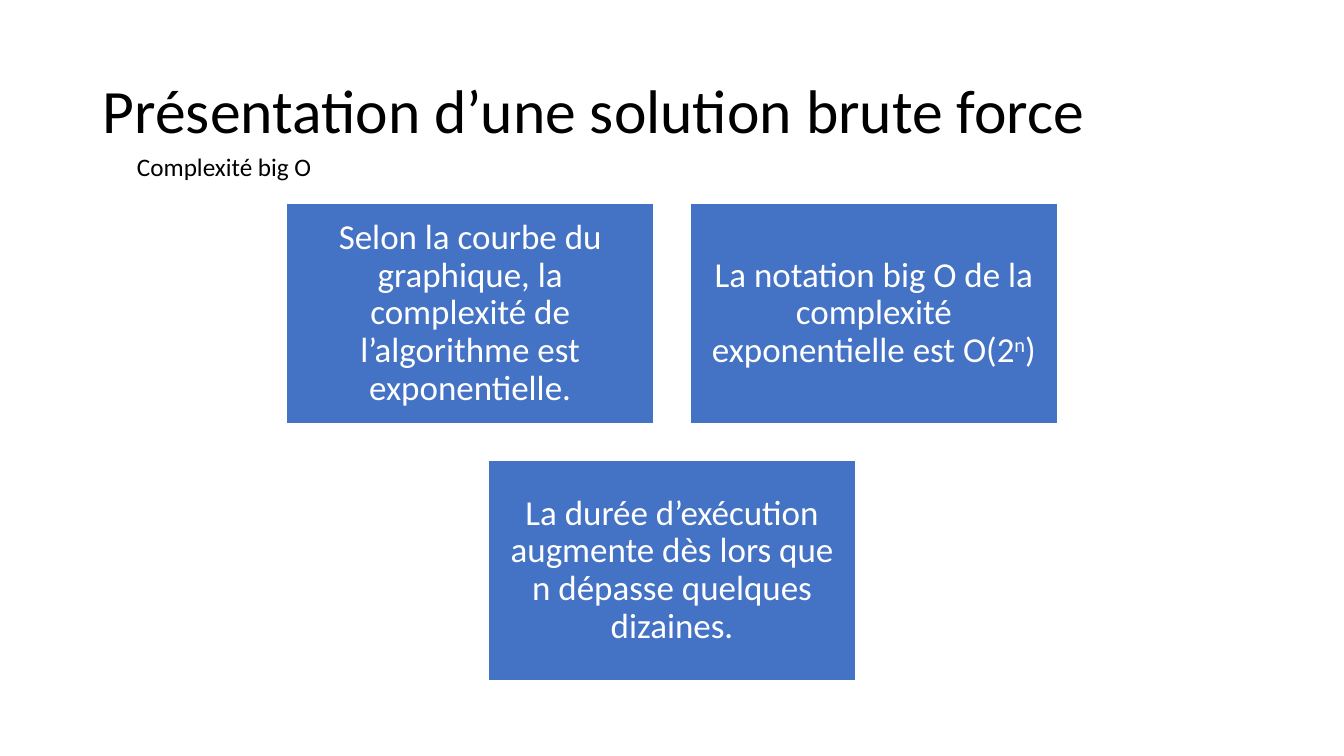
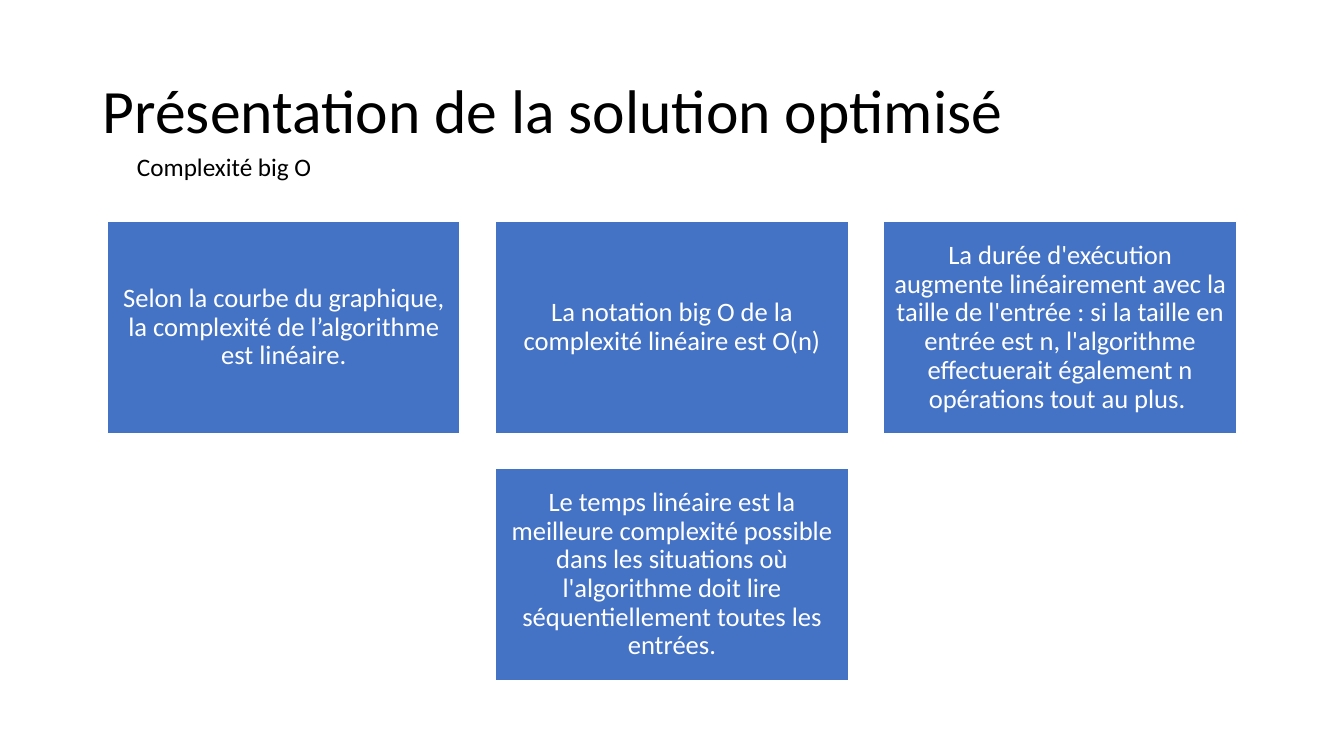
import dataclasses

import pptx
import pptx.dml.color
import pptx.enum.shapes
import pptx.enum.text
import pptx.util

Inches = pptx.util.Inches
Pt = pptx.util.Pt
Color = pptx.dml.color.RGBColor
Align = pptx.enum.text.PP_ALIGN
Anchor = pptx.enum.text.MSO_ANCHOR
Fit = pptx.enum.text.MSO_AUTO_SIZE


# Shared colours, type sizes and measures
@dataclasses.dataclass(frozen=True)
class Theme:
    font: str = "Calibri"
    ink: Color = Color(0x00, 0x00, 0x00)
    paper: Color = Color(0xFF, 0xFF, 0xFF)
    blue: Color = Color(0x44, 0x72, 0xC4)
    title: int = 44
    label: int = 18
    wide: float = 13.33
    high: float = 7.5
    base: float = 6.75    # bottom edge of the lowest row of boxes
    ratio: float = 0.6    # box height to box width
    gap: float = 0.1      # gap to box width
    lead: float = 0.9


THEME = Theme()


# Text
def add_run(para, text, size, color, power=False):
    run = para.add_run()
    run.text = text
    run.font.name = THEME.font
    run.font.size = Pt(size)
    run.font.color.rgb = color
    if power:
        run._r.get_or_add_rPr().set("baseline", "30000")


def add_title(slide, text):
    title = slide.shapes.title
    title.left, title.top = Inches(0.92), Inches(0.4)
    title.width, title.height = Inches(11.5), Inches(1.45)
    frame = title.text_frame
    frame.auto_size = Fit.NONE
    frame.vertical_anchor = Anchor.MIDDLE
    para = frame.paragraphs[0]
    para.alignment = Align.LEFT
    para.line_spacing = THEME.lead
    add_run(para, text, THEME.title, THEME.ink)


def add_label(slide, text):
    box = slide.shapes.add_textbox(
        Inches(1.26), Inches(1.45), Inches(1.95), Inches(0.4))
    frame = box.text_frame
    frame.word_wrap = False
    frame.auto_size = Fit.SHAPE_TO_FIT_TEXT
    add_run(frame.paragraphs[0], text, THEME.label, THEME.ink)


# Boxes
def add_box(slide, left, top, width, runs, size, inset):
    box = slide.shapes.add_shape(
        pptx.enum.shapes.MSO_SHAPE.RECTANGLE, Inches(left), Inches(top),
        Inches(width), Inches(width * THEME.ratio))
    box.shadow.inherit = False
    box.fill.solid()
    box.fill.fore_color.rgb = THEME.blue
    box.line.color.rgb = THEME.paper
    box.line.width = Pt(1)
    frame = box.text_frame
    frame.word_wrap = True
    frame.vertical_anchor = Anchor.MIDDLE
    frame.margin_left = frame.margin_right = Inches(inset)
    frame.margin_top = frame.margin_bottom = Inches(inset)
    para = frame.paragraphs[0]
    para.alignment = Align.CENTER
    para.line_spacing = THEME.lead
    for text, power in runs:
        add_run(para, text, size, THEME.paper, power)


def add_grid(slide, rows, width, size, inset):
    """Stack centred rows of boxes up from the common base line."""
    gap = width * THEME.gap
    pitch = width * THEME.ratio + gap
    top = THEME.base + gap - len(rows) * pitch
    for i, row in enumerate(rows):
        span = len(row) * (width + gap) - gap
        left = (THEME.wide - span) / 2
        for j, runs in enumerate(row):
            add_box(slide, left + j * (width + gap), top + i * pitch,
                    width, runs, size, inset)


def add_page(deck, title, rows, width, size, inset):
    slide = deck.slides.add_slide(deck.slide_layouts[5])
    add_title(slide, title)
    add_grid(slide, rows, width, size, inset)
    add_label(slide, "Complexité big O")


def plain(text):
    return [(text, False)]


def main():
    deck = pptx.Presentation()
    deck.slide_width = Inches(THEME.wide)
    deck.slide_height = Inches(THEME.high)

    # Brute force
    add_page(deck, "Présentation d’une solution brute force", [
        [plain("Selon la courbe du graphique, la complexité de "
               "l’algorithme est exponentielle."),
         [("La notation big O de la complexité exponentielle est O(2", False),
          ("n", True), (")", False)]],
        [plain("La durée d’exécution augmente dès lors que n dépasse "
               "quelques dizaines.")],
    ], width=3.64, size=25, inset=0.1)

    # Optimised
    add_page(deck, "Présentation de la solution optimisé", [
        [plain("Selon la courbe du graphique, la complexité de "
               "l’algorithme est linéaire."),
         plain("La notation big O de la complexité linéaire est O(n)"),
         plain("La durée d'exécution augmente linéairement avec la taille "
               "de l'entrée : si la taille en entrée est n, l'algorithme "
               "effectuerait également n opérations tout au plus. ")],
        [plain("Le temps linéaire est la meilleure complexité possible dans "
               "les situations où l'algorithme doit lire séquentiellement "
               "toutes les entrées.")],
    ], width=3.5, size=19, inset=0.08)

    deck.save("out.pptx")


if __name__ == "__main__":
    main()
